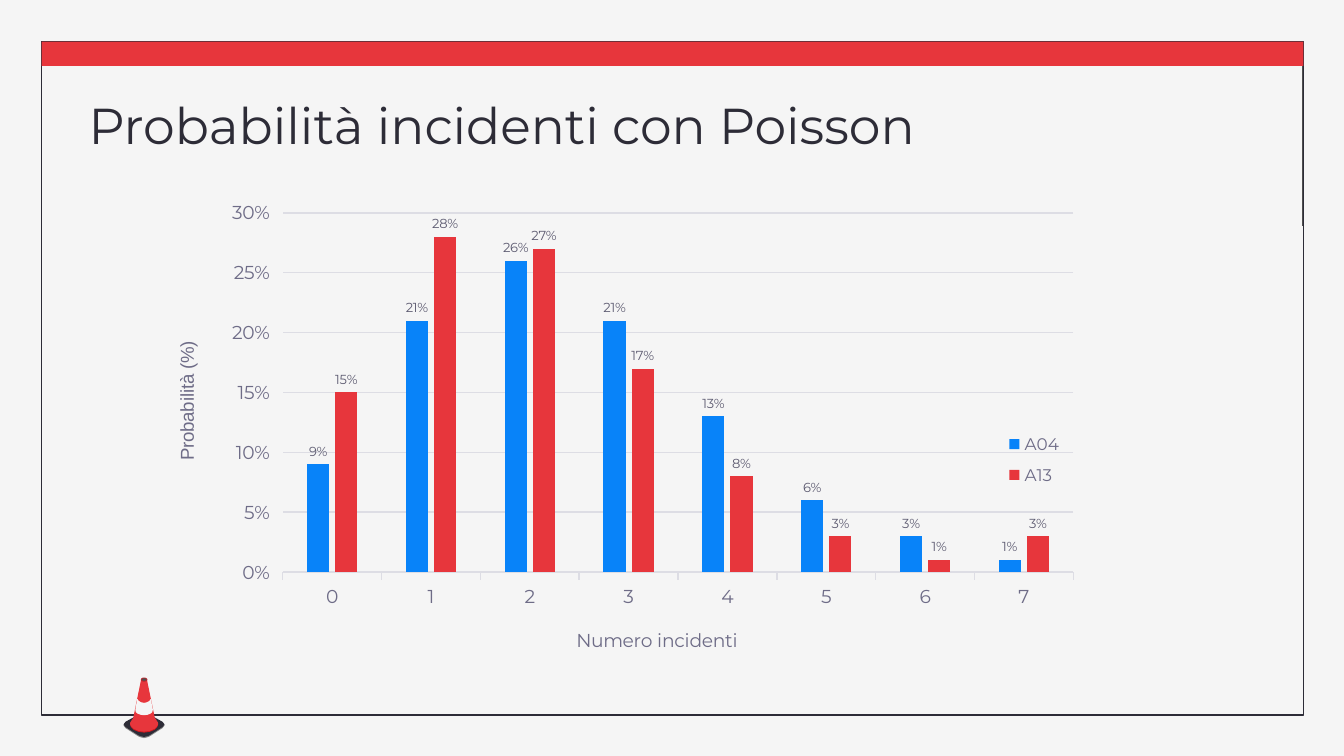
from dataclasses import dataclass

import pptx
import pptx.chart.data
import pptx.dml.color
import pptx.enum.chart
import pptx.enum.shapes
import pptx.enum.text
import pptx.oxml
import pptx.oxml.ns
import pptx.util
from lxml import etree

Pt = pptx.util.Pt
RGB = pptx.dml.color.RGBColor
Kind = pptx.enum.shapes.MSO_SHAPE
Tick = pptx.enum.chart.XL_TICK_MARK
qn = pptx.oxml.ns.qn

PAPER = RGB(0xF5, 0xF5, 0xF5)
INK = RGB(0x2D, 0x2C, 0x37)
RED = RGB(0xE7, 0x36, 0x3C)
DEEP = RGB(0xCE, 0x18, 0x1E)
MAROON = RGB(0xB1, 0x28, 0x2F)
BLUE = RGB(0x08, 0x83, 0xF9)
STONE = RGB(0x87, 0x87, 0x87)
COAL = RGB(0x50, 0x50, 0x50)
EDGE = RGB(0x4E, 0x4E, 0x4E)
MUTED = RGB(0x6E, 0x6C, 0x87)
LABEL = RGB(0x5C, 0x5A, 0x70)
GRID = RGB(0xDD, 0xDD, 0xE4)
FACE = "Montserrat"


@dataclass
class Box:
    x: float
    y: float
    w: float
    h: float
    fill: RGB | None = None
    line: RGB | None = None


@dataclass
class Part:
    fill: RGB
    half: list[tuple[float, float]]


@dataclass
class Row:
    name: str
    vals: list[float]
    fill: RGB


AXIS = 77.2
BASE = [(0, 382.2), (1.6, 382.4), (2.9, 382.8), (9.9, 386.7), (11, 388.1),
        (9.9, 389.5), (2.9, 394), (1.5, 394.5), (0, 394.8)]
FOOT = [(5.8, 385.2), (7.4, 387.6), (7.5, 388.4), (7, 389.6),
        (5.6, 391), (3, 392.1), (0, 392.5)]
BODY = [(1.6, 364.3), (5.9, 385.2), (5.7, 386.5), (4.2, 388),
        (2.3, 388.6), (0, 388.8)]
BAND = [(0, 376.6), (1.5, 376.3), (2.8, 375.6), (3.6, 374.4), (4.7, 380.2),
        (4.4, 381.6), (3.4, 382.4), (1.8, 383), (0, 383.2)]
CONE = [
    Part(STONE, [(x, y + 0.6) for x, y in BASE]),
    Part(INK, BASE),
    Part(DEEP, FOOT),
    Part(RED, [(x, y - 0.5) for x, y in FOOT]),
    Part(RED, BODY),
    Part(PAPER, BAND),
]
TIP = [Box(AXIS - 1.8, 363, 3.6, 2.2, MAROON), Box(AXIS - 1.1, 363.5, 2.2, 1.2, COAL)]
FRAME = [Box(22.3, 22.3, 676, 360.7, line=INK), Box(22.3, 22.3, 676, 13, RED)]
ROWS = [
    Row("A04", [0.09, 0.21, 0.26, 0.21, 0.13, 0.06, 0.03, 0.01], BLUE),
    Row("A13", [0.15, 0.28, 0.27, 0.17, 0.08, 0.03, 0.01, 0.03], RED),
]


def style(font, size: float, color: RGB, face: str = FACE) -> None:
    font.size, font.name, font.bold = Pt(size), face, False
    font.color.rgb = color


def write(frame, text: str, *, size: float, color: RGB, face: str = FACE) -> None:
    frame.text = text
    style(frame.paragraphs[0].runs[0].font, size, color, face)


def paint(shape, fill: RGB | None, line: RGB | None = None) -> None:
    shape.shadow.inherit = False
    if fill is None:
        shape.fill.background()
    else:
        shape.fill.solid()
        shape.fill.fore_color.rgb = fill
    if line is None:
        shape.line.fill.background()
    else:
        shape.line.color.rgb = line
        shape.line.width = Pt(0.75)


def draw_box(slide, box: Box, kind=Kind.RECTANGLE) -> None:
    shape = slide.shapes.add_shape(kind, Pt(box.x), Pt(box.y), Pt(box.w), Pt(box.h))
    paint(shape, box.fill, box.line)


def draw_part(slide, part: Part) -> None:
    right = [(Pt(AXIS + x), Pt(y)) for x, y in part.half]
    left = [(Pt(AXIS - x), Pt(y)) for x, y in reversed(part.half)]
    first, *rest = right + left
    pen = slide.shapes.build_freeform(*first, scale=1.0)
    pen.add_line_segments(rest, close=True)
    paint(pen.convert_to_shape(), part.fill)


def draw_edge(slide) -> None:
    edge = slide.shapes.add_connector(
        pptx.enum.shapes.MSO_CONNECTOR.STRAIGHT, Pt(697.9), Pt(35.3), Pt(697.9), Pt(121))
    edge.line.color.rgb = EDGE
    edge.line.width = Pt(0.75)
    etree.SubElement(edge._element.spPr, qn("a:effectLst"))


def place(node, spot: int, inner: bool = False, **sides: float) -> None:
    for old in node.findall(qn("c:layout")):
        node.remove(old)
    layout = etree.Element(qn("c:layout"))
    manual = etree.SubElement(layout, qn("c:manualLayout"))
    marks = {"layoutTarget": "inner"} if inner else {}
    marks |= {"xMode": "edge", "yMode": "edge"} | sides
    for tag, val in marks.items():
        etree.SubElement(manual, qn(f"c:{tag}")).set("val", str(val))
    node.insert(spot, layout)


def set_axis(axis, text: str, face: str, x: float, y: float) -> None:
    style(axis.tick_labels.font, 10, MUTED)
    axis.major_tick_mark, axis.minor_tick_mark = Tick.OUTSIDE, Tick.NONE
    title = axis.axis_title
    write(title.text_frame, text, size=10, color=MUTED, face=face)
    place(title._element, 1, x=x, y=y)


def draw_chart(slide) -> None:
    data = pptx.chart.data.CategoryChartData(number_format="0%")
    data.categories = [str(n) for n in range(8)]
    for row in ROWS:
        data.add_series(row.name, row.vals)
    chart = slide.shapes.add_chart(
        pptx.enum.chart.XL_CHART_TYPE.COLUMN_CLUSTERED,
        Pt(81.4), Pt(105.1), Pt(493.9), Pt(272.9), data).chart
    style(chart.font, 10, INK, "Arial")
    chart.has_title = False
    plot = chart.plots[0]
    plot.gap_width, plot.overlap, plot.vary_by_categories = 219, -27, False
    for row, bars in zip(ROWS, plot.series):
        bars.format.fill.solid()
        bars.format.fill.fore_color.rgb = row.fill
        tags = bars.data_labels
        tags.show_value = True
        tags.number_format, tags.number_format_is_linked = "0%", False
        tags.position = pptx.enum.chart.XL_LABEL_POSITION.OUTSIDE_END
        style(tags.font, 7, LABEL)

    across, up = chart.category_axis, chart.value_axis
    set_axis(across, "Numero incidenti", FACE, 0.457, 0.84)
    set_axis(up, "Probabilità (%)", "Arial", 0.021, 0.278)
    up.axis_title.text_frame._txBody.bodyPr.set("rot", "-5400000")
    up.minimum_scale, up.maximum_scale, up.major_unit = 0, 0.3, 0.05
    up.tick_labels.number_format = "0%"
    up.tick_labels.number_format_is_linked = False
    up.format.line.fill.background()
    for part in (across, up.major_gridlines):
        part.format.line.color.rgb = GRID
        part.format.line.width = Pt(0.75)

    chart.has_legend = True
    key = chart.legend
    key.position = pptx.enum.chart.XL_LEGEND_POSITION.RIGHT
    key.include_in_layout = False
    style(key.font, 9, MUTED)
    place(key._element, 1, x=0.915, y=0.447, w=0.085, h=0.14)
    area = chart._chartSpace.chart.plotArea
    place(area, 0, True, x=0.142, y=0.033, w=0.858, h=0.705)


def draw_title(slide) -> None:
    title = slide.shapes.title
    title.left, title.top, title.width, title.height = Pt(40.3), Pt(43.2), Pt(633), Pt(45.4)
    frame = title.text_frame
    frame.margin_left = frame.margin_right = frame.margin_top = frame.margin_bottom = Pt(7.2)
    frame.word_wrap = True
    frame.auto_size = pptx.enum.text.MSO_AUTO_SIZE.NONE
    frame.vertical_anchor = pptx.enum.text.MSO_ANCHOR.TOP
    write(frame, "Probabilità incidenti con Poisson", size=27, color=INK)
    frame.paragraphs[0].alignment = pptx.enum.text.PP_ALIGN.LEFT


def main() -> None:
    deck = pptx.Presentation()
    deck.slide_width, deck.slide_height = Pt(720), Pt(405)
    slide = deck.slides.add_slide(deck.slide_layouts[5])
    slide.background.fill.solid()
    slide.background.fill.fore_color.rgb = PAPER
    for box in FRAME:
        draw_box(slide, box)
    for part in CONE:
        draw_part(slide, part)
    for box in TIP:
        draw_box(slide, box, Kind.OVAL)
    draw_title(slide)
    draw_chart(slide)
    draw_edge(slide)
    deck.save("out.pptx")


if __name__ == "__main__":
    main()
